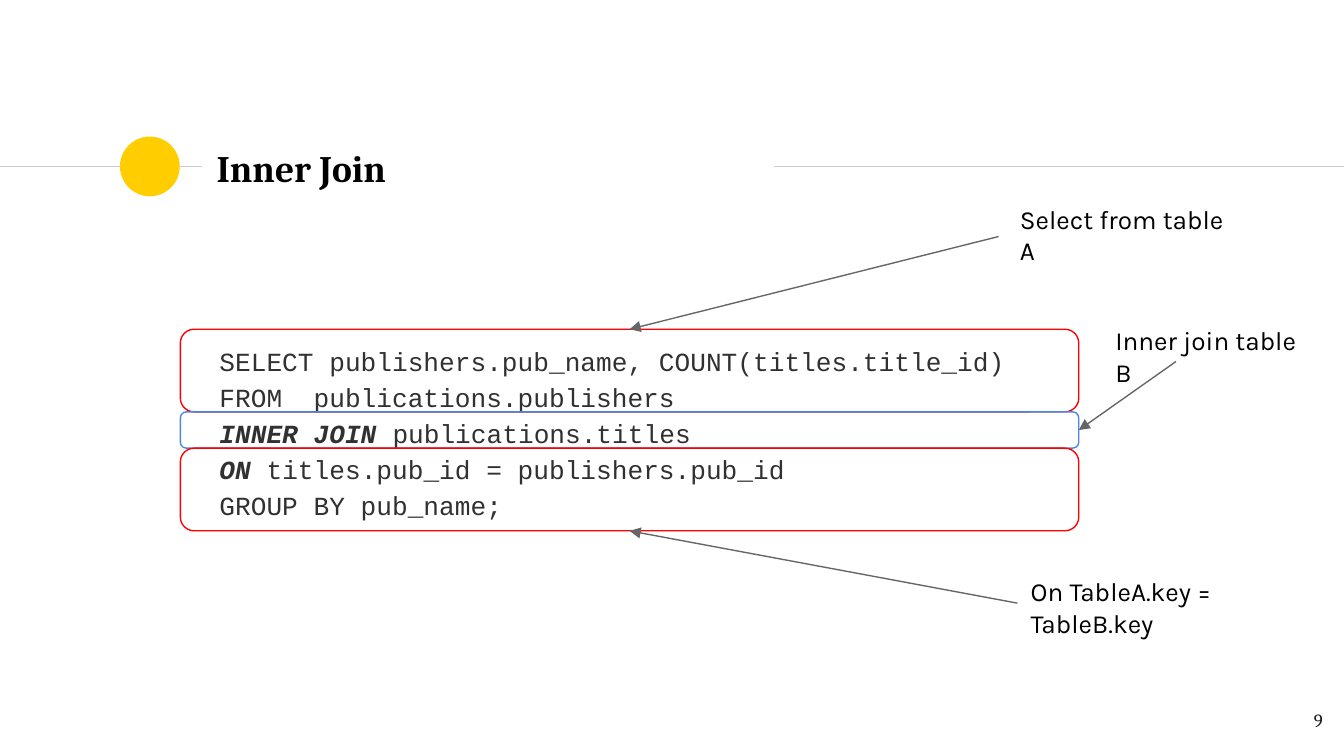
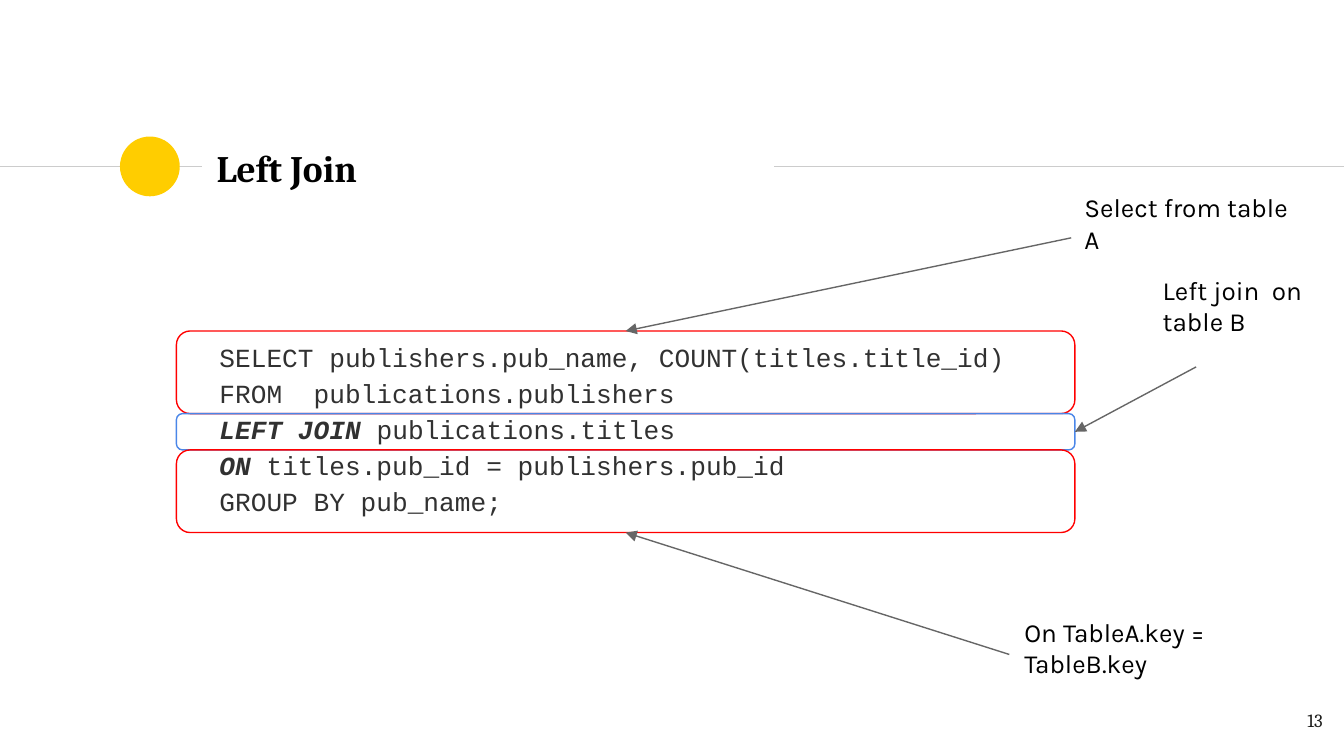
from pptx import Presentation
from pptx.dml.color import RGBColor as Rgb
from pptx.enum.shapes import MSO_CONNECTOR as Connector, MSO_SHAPE as Shape
from pptx.enum.text import MSO_ANCHOR as Anchor, PP_ALIGN as Align
from pptx.oxml.ns import qn
from pptx.util import Inches, Pt
from lxml.etree import SubElement

COLORS = {
    "rule": "CCCCCC", "dot": "FFCD00", "title": "000000", "number": "1D1D1B",
    "code": "313131", "label": "000000", "arrow": "666666",
    "clause": "FF0000", "join": "4A86E8",
}
TITLE_FONT, CODE_FONT, LABEL_FONT = "Cambria", "Courier New", "Karla"

deck = Presentation()
deck.slide_width = Inches(10)
deck.slide_height = deck.slide_width * 9 // 16
CELL = deck.slide_width / 100


def add_text(page, area, lines, font, size, color):
    box = page.shapes.add_textbox(*[int(value * CELL) for value in area])
    frame = box.text_frame
    frame.word_wrap = True
    frame.margin_left = frame.margin_right = int(CELL)
    frame.margin_top = frame.margin_bottom = int(CELL)
    frame.text = "\n".join(lines)
    for para in frame.paragraphs:
        for span in para.runs:
            span.font.name, span.font.size = font, Pt(size)
            span.font.color.rgb = Rgb.from_string(COLORS[color])
    return box


def add_line(page, start, end, color):
    points = [int(value * CELL) for value in (*start, *end)]
    line = page.shapes.add_connector(Connector.STRAIGHT, *points)
    line.line.color.rgb = Rgb.from_string(COLORS[color])
    line.line.width = Pt(0.75)
    SubElement(line._element.spPr, qn("a:effectLst"))
    return line


PANEL_WIDTH = 66.85
PANELS = [("clause", 6.15), ("join", 2.7), ("clause", 6.15)]
ARROW_SIDES = [0, 3, 2]

SLIDES = [
    {
        "title": "Inner Join", "number": "9", "join": "INNER JOIN ",
        "code": (10.35, 24.33, 79.3, 17.3), "panels": (13.42, 24.5),
        "labels": [
            ("Select from table A", (74.9, 14.1, 18.5, 5.2), (74.3, 17.6)),
            ("Inner join table B", (82, 23.15, 17, 3.4), (87.5, 26.9)),
            ("On TableA.key = TableB.key", (75.7, 41.83, 18.5, 6.1), None),
        ],
    },
    {
        "title": "Left Join", "number": "13", "join": "LEFT JOIN ",
        "code": (10.35, 24.03, 79.3, 14.4), "panels": (13.13, 24.63),
        "labels": [
            ("Select from table A", (79.7, 13.25, 18, 6.1), (79.7, 17.7)),
            ("Left join  on table B", (85.53, 19.42, 13.3, 7.9), (89, 27.3)),
            ("On TableA.key = TableB.key", (75.23, 44.83, 18.5, 6.1), (75.1, 48.7)),
        ],
    },
]

for content in SLIDES:
    page = deck.slides.add_slide(deck.slide_layouts[6])

    for left, right in [(0, 15), (57.6, 100)]:
        add_line(page, (left, 12.4), (right, 12.4), "rule")
    dot = page.shapes.add_shape(
        Shape.OVAL, *[int(value * CELL) for value in (8.93, 10.16, 4.45, 4.45)])
    dot.shadow.inherit = False
    dot.fill.solid()
    dot.fill.fore_color.rgb = Rgb.from_string(COLORS["dot"])
    dot.line.fill.background()

    title = add_text(page, (15.13, 10.1, 42.4, 4.8), [content["title"]],
                     TITLE_FONT, 20, "title")
    title.text_frame.vertical_anchor = Anchor.MIDDLE
    title.text_frame.paragraphs[0].runs[0].font.bold = True
    number = add_text(page, (93.4, 51.93, 6, 4.3), [content["number"]],
                      TITLE_FONT, 10, "number")
    number.text_frame.paragraphs[0].alignment = Align.RIGHT

    query = [
        ("", "SELECT publishers.pub_name, COUNT(titles.title_id)"),
        ("", "FROM  publications.publishers"),
        (content["join"], "publications.titles"),
        ("ON", " titles.pub_id = publishers.pub_id"),
        ("", "GROUP BY pub_name;"),
    ]
    code = add_text(page, content["code"], [keyword + rest for keyword, rest in query],
                    CODE_FONT, 14, "code")
    for para, (keyword, rest) in zip(code.text_frame.paragraphs, query):
        para.line_spacing = 1.15
        properties = para._p.get_or_add_pPr()
        properties.set("marL", str(Inches(0.5)))
        properties.set("indent", "0")
        if keyword:
            span = para.runs[0]
            span.text = keyword
            tail = para.add_run()
            tail.text = rest
            tail.font.name, tail.font.size = CODE_FONT, Pt(14)
            tail.font.color.rgb = Rgb.from_string(COLORS["code"])
            span.font.bold = span.font.italic = True

    left, top = content["panels"]
    panels = []
    for color, height in PANELS:
        area = (left, top, PANEL_WIDTH, height)
        panel = page.shapes.add_shape(
            Shape.ROUNDED_RECTANGLE, *[int(value * CELL) for value in area])
        panel.shadow.inherit = False
        panel.fill.background()
        panel.line.color.rgb = Rgb.from_string(COLORS[color])
        panel.line.width = Pt(0.75)
        panels.append(panel)
        top += height

    for panel, side, (words, area, start) in zip(panels, ARROW_SIDES, content["labels"]):
        label = add_text(page, area, [words], LABEL_FONT, 14, "label")
        arrow = add_line(page, start or area[:2], area[:2], "arrow")
        if start is None:
            arrow.begin_connect(label, 1)
        arrow.end_connect(panel, side)
        SubElement(arrow.line._get_or_add_ln(), qn("a:tailEnd"), type="triangle")

deck.save("out.pptx")
